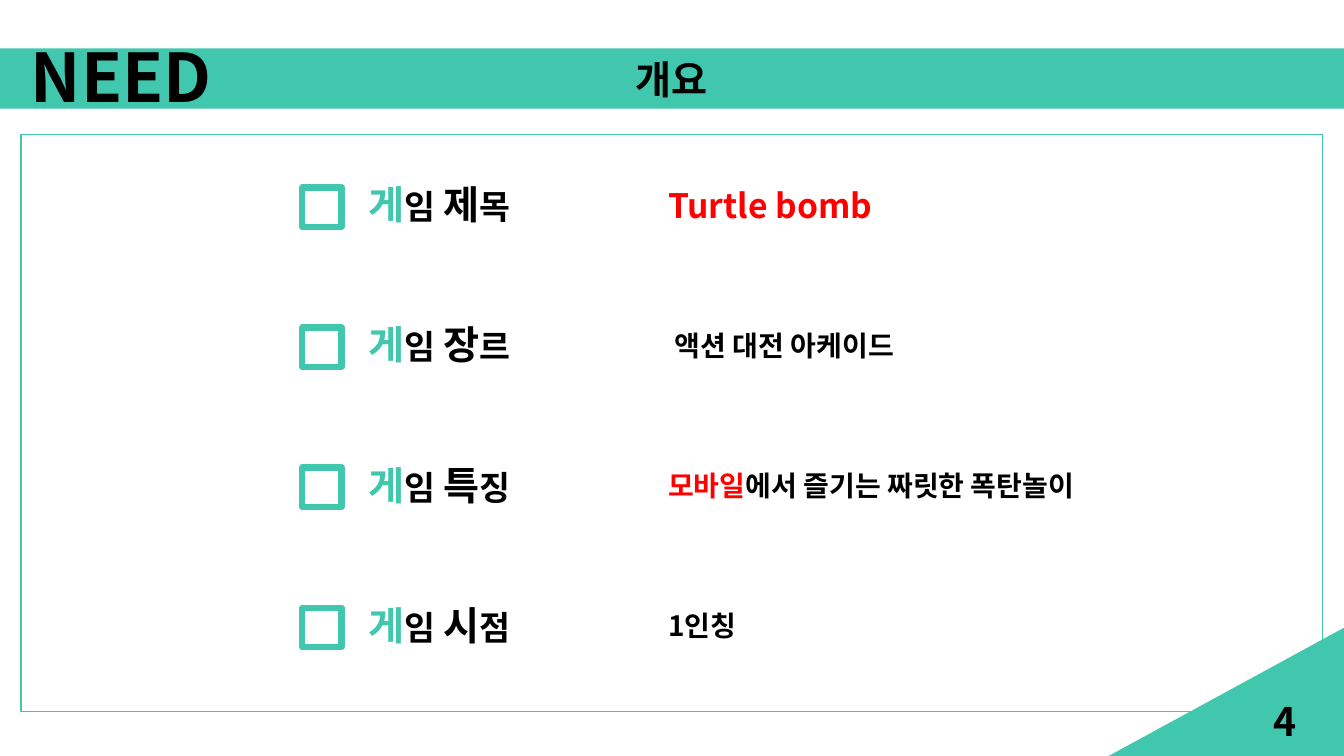
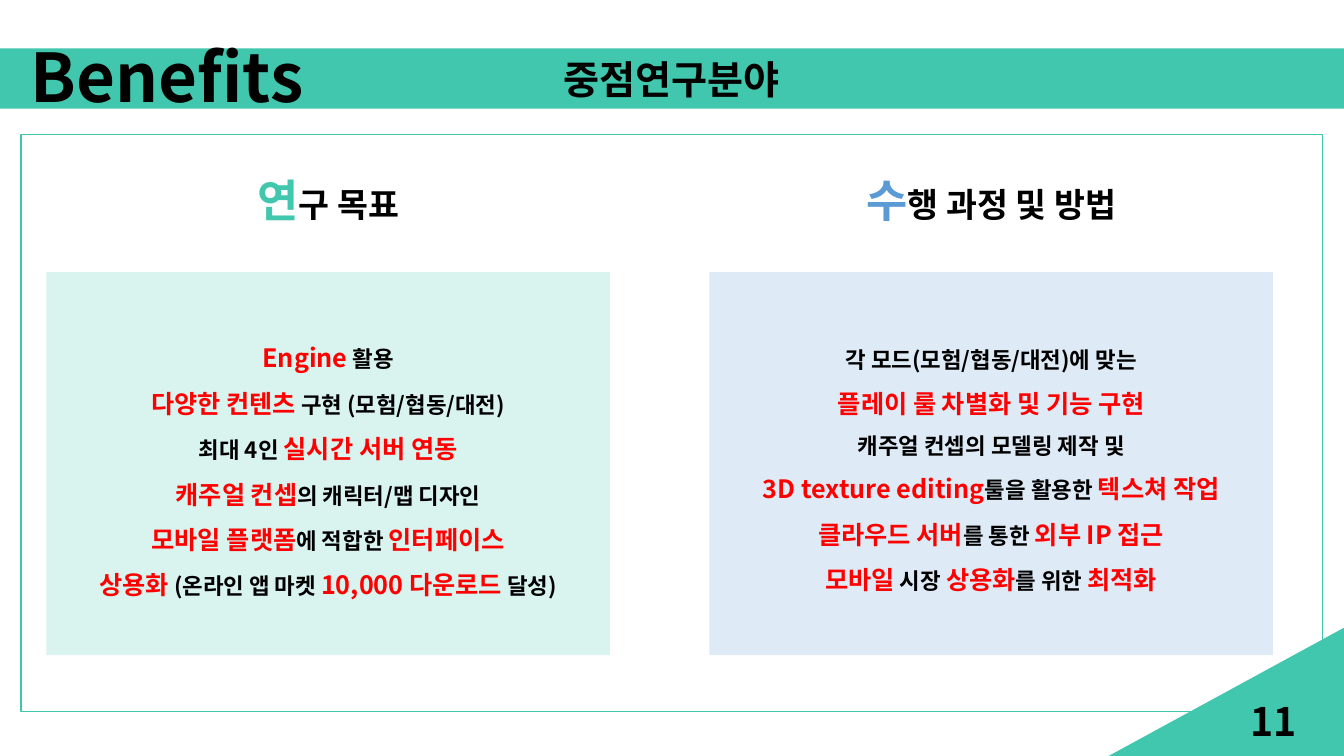
import pptx
import pptx.dml.color
import pptx.enum.shapes
import pptx.enum.text
import pptx.oxml.ns
import pptx.util
from lxml import etree

Cm = pptx.util.Cm
Pt = pptx.util.Pt
RGBColor = pptx.dml.color.RGBColor
Shape = pptx.enum.shapes.MSO_SHAPE
Align = pptx.enum.text.PP_ALIGN
Anchor = pptx.enum.text.MSO_ANCHOR
qn = pptx.oxml.ns.qn

TEAL = RGBColor(0x41, 0xC7, 0xAD)
BLUE = RGBColor(0x5B, 0x9B, 0xD5)
RED = RGBColor(0xFF, 0x00, 0x00)
BLACK = RGBColor(0x00, 0x00, 0x00)
WHITE = RGBColor(0xFF, 0xFF, 0xFF)
FONT = "Noto Sans CJK KR"
WIDTH, HEIGHT = 33.87, 19.05


def place(shape, left, top, width, height):
    shape.left, shape.top = Cm(left), Cm(top)
    shape.width, shape.height = Cm(width), Cm(height)


def write_text(shape, lines, align=Align.LEFT, anchor=Anchor.MIDDLE, spacing=1.0, after=0):
    frame = shape.text_frame
    frame.word_wrap = True
    frame.auto_size = pptx.enum.text.MSO_AUTO_SIZE.NONE
    frame.vertical_anchor = anchor
    for index, spans in enumerate(lines):
        para = frame.paragraphs[0] if index == 0 else frame.add_paragraph()
        para.alignment = align
        para.line_spacing = spacing
        para.space_before = Pt(0)
        para.space_after = Pt(after)
        for text, size, colour in spans:
            span = para.add_run()
            span.text = text
            span.font.size = Pt(size)
            span.font.bold = True
            span.font.color.rgb = colour
            span.font.name = FONT
            east_asian = etree.SubElement(span.font._element, qn("a:ea"))
            east_asian.set("typeface", FONT)


def add_text(page, box, lines, **style):
    shape = page.shapes.add_textbox(*map(Cm, box))
    write_text(shape, lines, **style)
    return shape


def add_block(page, kind, box, fill=None, line=None, weight=0.75, opacity=None):
    shape = page.shapes.add_shape(kind, *map(Cm, box))
    shape.shadow.inherit = False
    if fill is None:
        shape.fill.background()
    else:
        shape.fill.solid()
        shape.fill.fore_color.rgb = fill
    if opacity is not None:
        colour = shape.fill._xPr.find(qn("a:solidFill"))[0]
        etree.SubElement(colour, qn("a:alpha")).set("val", str(opacity * 1000))
    if line is None:
        shape.line.fill.background()
    else:
        shape.line.color.rgb = line
        shape.line.width = Pt(weight)
    return shape


def add_page(deck, section, title, number):
    page = deck.slides.add_slide(deck.slide_layouts[5])
    band = page.shapes.title
    place(band, 0, 1.22, WIDTH, 1.52)
    band.fill.solid()
    band.fill.fore_color.rgb = TEAL
    write_text(band, [[(title, 28, BLACK)]], align=Align.CENTER)
    add_text(page, (0.53, 0.76, 10.67, 2.31), [[(section, 48, BLACK)]], anchor=Anchor.TOP)
    add_block(page, Shape.RECTANGLE, (0.53, 3.4, 32.8, 14.53), line=TEAL)
    corner_width, corner_height = 5.93, 3.23
    corner = add_block(page, Shape.RIGHT_TRIANGLE,
                       (WIDTH - corner_width, HEIGHT - corner_height, corner_width, corner_height),
                       fill=TEAL)
    corner._element.spPr.find(qn("a:xfrm")).set("flipH", "1")
    add_text(page, (25.3, 17.65, 7.62, 1.02), [[(number, 28, BLACK)]], align=Align.RIGHT)
    return page


def add_check_row(page, left, top, height, initial, ending, value, indent):
    side = 0.99
    add_block(page, Shape.RECTANGLE, (left, top + (height - side) / 2, side, side),
              fill=WHITE, line=TEAL, weight=4.5)
    label = [("게", 28, TEAL), ("임 ", 24, BLACK), (initial, 28, BLACK), (ending, 24, BLACK)]
    add_text(page, (left + 1.42, top, 4.72, height), [label], spacing=0.9, after=6)
    answer = add_text(page, (left + 8.97, top, 15.27, height), [value], spacing=0.9, after=6)
    answer.text_frame.margin_left = Cm(0.25 + indent)


def add_topic(page, left, top, width, accent, heading, lines):
    initial, ending = heading
    add_text(page, (left, top, width, 1.63), [[(initial, 32, accent), (ending, 24, BLACK)]],
             align=Align.CENTER, spacing=0.9, after=6)
    panel = add_block(page, Shape.RECTANGLE, (left, top + 2.57, width, 9.65),
                      fill=accent, opacity=20)
    write_text(panel, lines, align=Align.CENTER, spacing=1.5)


def strong(text):
    return text, 18, RED


def plain(text):
    return text, 16, BLACK


def build_overview(deck):
    page = add_page(deck, "NEED", "개요", "4")
    rows = [
        ("제", "목", [("Turtle bomb", 24, RED)], 0),
        ("장", "르", [("액션 대전 아케이드", 20, BLACK)], 0.17),
        ("특", "징", [("모바일", 20, RED), ("에서 즐기는 짜릿한 폭탄놀이", 20, BLACK)], 0),
        ("시", "점", [("1인칭", 20, BLACK)], 0),
    ]
    for index, row in enumerate(rows):
        add_check_row(page, 7.62, 4.32 + index * 3.53, 1.8, *row)


def build_benefits(deck):
    page = add_page(deck, "Benefits", "중점연구분야", "11")
    goals = [
        [strong("Engine"), plain(" 활용")],
        [strong("다양한 컨텐츠"), plain(" 구현 (모험/협동/대전)")],
        [plain("최대 4인 "), strong("실시간 서버 연동")],
        [strong("캐주얼 컨셉"), plain("의 캐릭터/맵 디자인")],
        [strong("모바일 플랫폼"), plain("에 적합한 "), strong("인터페이스")],
        [strong("상용화"), plain(" (온라인 앱 마켓 "), strong("10,000 다운로드"), plain(" 달성)")],
    ]
    methods = [
        [plain("각 모드(모험/협동/대전)에 맞는")],
        [strong("플레이 룰 차별화 및 기능 구현")],
        [plain("캐주얼 컨셉의 모델링 제작 및")],
        [strong("3D texture editing"), plain("툴을 활용한 "), strong("텍스쳐 작업")],
        [strong("클라우드 서버"), plain("를 통한 "), strong("외부 IP 접근")],
        [strong("모바일"), plain(" 시장 "), strong("상용화"), plain("를 위한 "), strong("최적화")],
    ]
    topics = [
        (TEAL, ("연", "구 목표"), goals),
        (BLUE, ("수", "행 과정 및 방법"), methods),
    ]
    for index, topic in enumerate(topics):
        add_topic(page, 1.17 + index * 16.71, 4.29, 14.2, *topic)


def main():
    deck = pptx.Presentation()
    deck.slide_width, deck.slide_height = Cm(WIDTH), Cm(HEIGHT)
    build_overview(deck)
    build_benefits(deck)
    deck.save("out.pptx")


if __name__ == "__main__":
    main()
